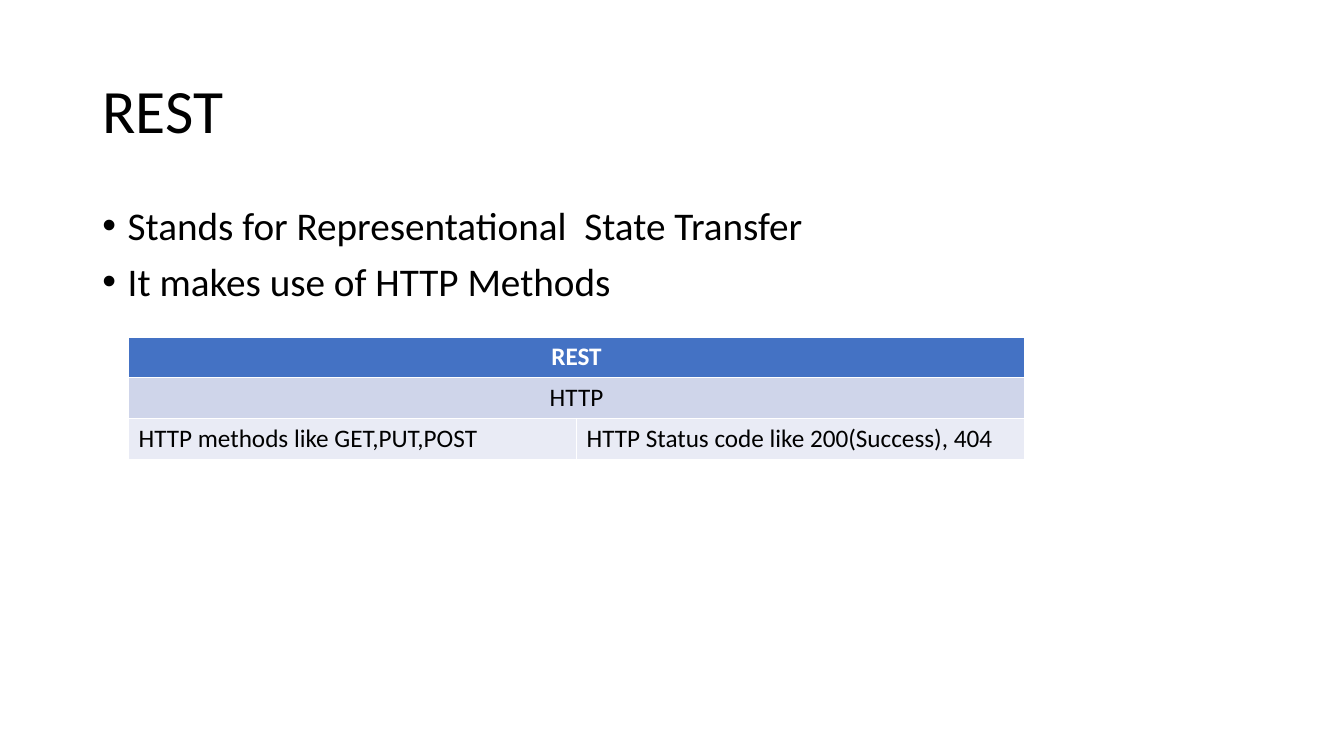
from pptx import Presentation
from pptx import util as u
from pptx.dml.color import RGBColor
from pptx.enum import text
from pptx.oxml import parse_xml
from pptx.oxml.ns import nsdecls

TITLE = "REST"
BULLETS = ["Stands for Representational  State Transfer", "It makes use of HTTP Methods"]
# Each layer: cell texts, fill, text colour, bold
LAYERS = [
    (["REST"], "header", "white", True),
    (["HTTP"], "band", "black", False),
    (["HTTP methods like GET,PUT,POST", "HTTP Status code like 200(Success), 404"],
     "pale", "black", False),
]
COLOURS = {"header": "4472C4", "band": "CFD5EA", "pale": "E9EBF5",
           "white": "FFFFFF", "black": "000000"}
COLUMNS = 2
INDENT = u.Cm(0.64)


def colour(name):
    return RGBColor.from_string(COLOURS[name])


def style(para, size, ink="black", bold=False):
    formats = {"name": "Calibri", "size": u.Pt(size), "bold": bold}
    for key, value in formats.items():
        setattr(para.font, key, value)
    para.font.color.rgb = colour(ink)


def add_box(page, left, top, width, height, anchor):
    box = page.shapes.add_textbox(u.Cm(left), u.Cm(top), u.Cm(width), u.Cm(height))
    frame = box.text_frame
    frame.word_wrap = True
    frame.vertical_anchor = anchor
    return frame


def add_bullet(para):
    props = para._p.get_or_add_pPr()
    props.set("marL", str(INDENT))
    props.set("indent", str(-INDENT))
    for tag in ('a:buFont %s typeface="Arial"', 'a:buChar %s char="•"'):
        props.append(parse_xml(f"<{tag % nsdecls('a')}/>"))


def add_layers(page):
    table = page.shapes.add_table(len(LAYERS), COLUMNS, u.Cm(3.24), u.Cm(8.49),
                                  u.Cm(22.58), u.Cm(3.09)).table
    for row, (labels, fill, ink, bold) in enumerate(LAYERS):
        for column in range(COLUMNS):
            cell = table.cell(row, column)
            cell.fill.solid()
            cell.fill.fore_color.rgb = colour(fill)
        spans_row = len(labels) == 1
        if spans_row:
            table.cell(row, 0).merge(table.cell(row, COLUMNS - 1))
        for column, label in enumerate(labels):
            para = table.cell(row, column).text_frame.paragraphs[0]
            para.text = label
            para.alignment = text.PP_ALIGN.CENTER if spans_row else text.PP_ALIGN.LEFT
            style(para, 18, ink, bold)


def main():
    deck = Presentation()
    deck.slide_width, deck.slide_height = u.Cm(33.87), u.Cm(19.05)
    page = deck.slides.add_slide(deck.slide_layouts[6])

    title = add_box(page, 2.33, 1.01, 29.21, 3.68, text.MSO_ANCHOR.MIDDLE).paragraphs[0]
    title.text = TITLE
    title.line_spacing = 0.9
    style(title, 44)

    body = add_box(page, 2.33, 5.07, 29.21, 12.09, text.MSO_ANCHOR.TOP)
    for index, line in enumerate(BULLETS):
        para = body.add_paragraph() if index else body.paragraphs[0]
        para.text = line
        add_bullet(para)
        para.line_spacing = 0.9
        para.space_before = u.Pt(10 if index else 0)
        style(para, 28)

    add_layers(page)
    deck.save("out.pptx")


if __name__ == "__main__":
    main()
